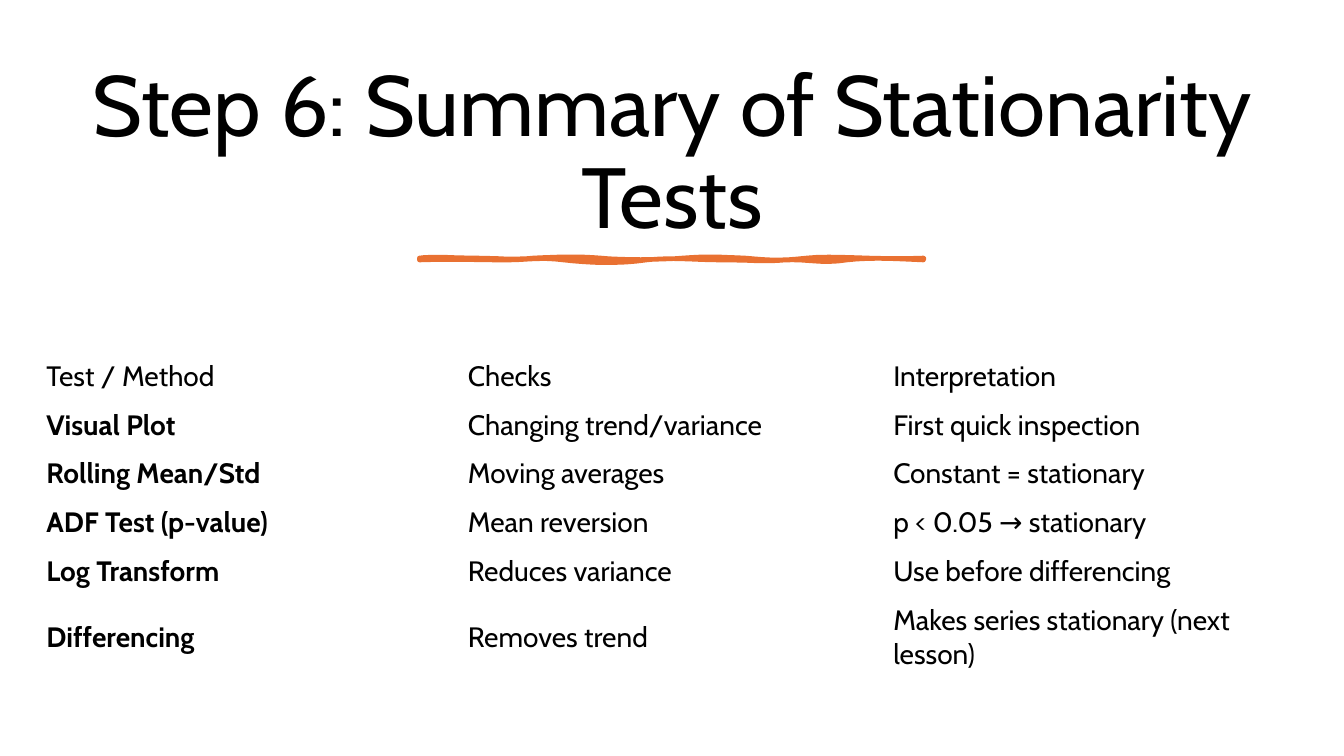
from pptx import Presentation
from pptx.dml.color import RGBColor
from pptx.enum.text import MSO_ANCHOR, MSO_AUTO_SIZE, PP_ALIGN
from pptx.util import Inches, Pt

MIDDLE, BOTTOM = MSO_ANCHOR.MIDDLE, MSO_ANCHOR.BOTTOM
CENTER = PP_ALIGN.CENTER
NO_AUTOFIT = MSO_AUTO_SIZE.NONE
TITLE_ONLY = 5
FONT = "Cabin"
COLORS = {"text": "000000", "accent": "E97132"}
CURVE_STEPS = 8
UNITS_PER_INCH = 1000


def add_run(paragraph, text, size, bold=False):
    run = paragraph.add_run()
    run.text = text
    run.font.name = FONT
    run.font.size = Pt(size)
    run.font.bold = bold
    run.font.color.rgb = RGBColor.from_string(COLORS["text"])


def curve_points(start, control_1, control_2, end):
    """Return points along a cubic curve, without its start."""
    points = []
    for step in range(1, CURVE_STEPS + 1):
        t = step / CURVE_STEPS
        weights = ((1 - t) ** 3, 3 * t * (1 - t) ** 2, 3 * t * t * (1 - t), t ** 3)
        corners = (start, control_1, control_2, end)
        points.append(tuple(
            UNITS_PER_INCH * sum(w * corner[axis] for w, corner in zip(weights, corners))
            for axis in (0, 1)))
    return points


prs = Presentation()
prs.slide_width, prs.slide_height = Inches(13.33), Inches(7.5)
slide = prs.slides.add_slide(prs.slide_layouts[TITLE_ONLY])

# Title
title = slide.shapes.title
title.left, title.top = Inches(0.7), Inches(0.5)
title.width, title.height = Inches(11.93), Inches(2)
title_frame = title.text_frame
title_frame.word_wrap = True
title_frame.auto_size = NO_AUTOFIT
title_frame.vertical_anchor = BOTTOM
heading = title_frame.paragraphs[0]
heading.alignment = CENTER
heading.line_spacing = 0.9
add_run(heading, "Step 6: Summary of Stationarity Tests", 61)

# Hand-drawn underline: each entry is two control points and an end point
underline_start = (4.16, 2.56)
underline_curves = [
    ((4.28, 2.54), (4.54, 2.56), (4.73, 2.56)),
    ((4.92, 2.56), (5.09, 2.58), (5.29, 2.56)),
    ((5.49, 2.55), (5.74, 2.54), (5.96, 2.56)),
    ((6.17, 2.58), (6.53, 2.58), (6.77, 2.56)),
    ((7.02, 2.54), (7.14, 2.55), (7.39, 2.56)),
    ((7.63, 2.58), (7.74, 2.59), (8, 2.56)),
    ((8.26, 2.53), (8.67, 2.58), (9.16, 2.56)),
    ((9.17, 2.57), (9.16, 2.57), (9.16, 2.58)),
    ((8.95, 2.57), (8.65, 2.55), (8.4, 2.58)),
    ((8.15, 2.62), (8.01, 2.57), (7.79, 2.58)),
    ((7.56, 2.6), (7.47, 2.58), (7.17, 2.58)),
    ((6.87, 2.58), (6.67, 2.55), (6.41, 2.58)),
    ((6.14, 2.62), (5.85, 2.61), (5.59, 2.58)),
    ((5.34, 2.55), (5.23, 2.58), (5.03, 2.58)),
    ((4.83, 2.58), (4.38, 2.57), (4.16, 2.58)),
    ((4.16, 2.58), (4.16, 2.57), (4.16, 2.56)),
]
outline = []
pen = underline_start
for control_1, control_2, end in underline_curves:
    outline += curve_points(pen, control_1, control_2, end)
    pen = end
builder = slide.shapes.build_freeform(
    *(UNITS_PER_INCH * value for value in underline_start),
    scale=Inches(1) / UNITS_PER_INCH)
builder.add_line_segments(outline, close=True)
underline = builder.convert_to_shape()
underline.shadow.inherit = False
underline.fill.solid()
underline.fill.fore_color.rgb = RGBColor.from_string(COLORS["accent"])
underline.line.color.rgb = RGBColor.from_string(COLORS["accent"])
underline.line.width = Pt(3.25)

# Summary of tests
summary_rows = [
    ("Test / Method", "Checks", "Interpretation"),
    ("Visual Plot", "Changing trend/variance", "First quick inspection"),
    ("Rolling Mean/Std", "Moving averages", "Constant = stationary"),
    ("ADF Test (p-value)", "Mean reversion", "p < 0.05 → stationary"),
    ("Log Transform", "Reduces variance", "Use before differencing"),
    ("Differencing", "Removes trend", "Makes series stationary (next lesson)"),
]
column_widths = (4.18, 4.22, 4.22)
row_heights = [0.485] * 5 + [0.82]
summary = slide.shapes.add_table(
    len(summary_rows), len(column_widths),
    Inches(0.35), Inches(3.49), Inches(12.63), Inches(3.24)).table
summary.first_row = False
summary.horz_banding = False
for column, width in zip(summary.columns, column_widths):
    column.width = Inches(width)
for row, height in zip(summary.rows, row_heights):
    row.height = Inches(height)
for row_index, entries in enumerate(summary_rows):
    for column_index, entry in enumerate(entries):
        cell = summary.cell(row_index, column_index)
        cell.fill.background()
        cell.vertical_anchor = MIDDLE
        cell.margin_left = cell.margin_right = Inches(0.11)
        cell.margin_top = cell.margin_bottom = Inches(0.06)
        is_method = row_index > 0 and column_index == 0
        add_run(cell.text_frame.paragraphs[0], entry, 20, is_method)

prs.save("out.pptx")
